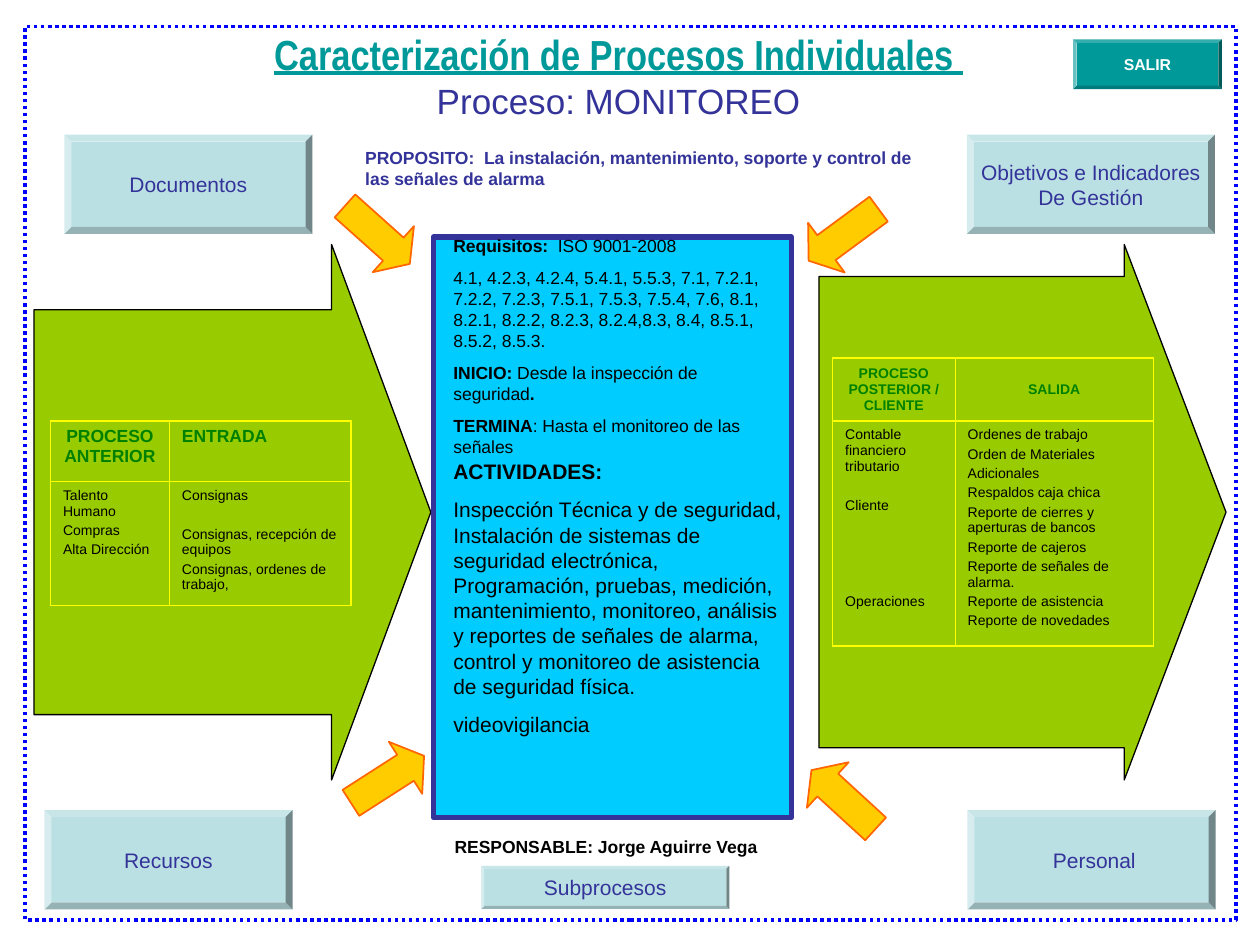
from lxml.etree import SubElement
from pptx import Presentation
from pptx.dml.color import RGBColor
from pptx.enum.dml import MSO_LINE
from pptx.enum.shapes import MSO_SHAPE
from pptx.enum.text import MSO_ANCHOR, PP_ALIGN
from pptx.oxml.ns import qn
from pptx.util import Pt

GREEN, DARK_GREEN = RGBColor(0x99, 0xCC, 0x00), RGBColor(0x00, 0x80, 0x00)
TEAL, PALE = RGBColor(0x00, 0x99, 0x99), RGBColor(0xBB, 0xE0, 0xE3)
NAVY, BLUE = RGBColor(0x33, 0x33, 0x99), RGBColor(0x00, 0x00, 0xFF)
CYAN, YELLOW = RGBColor(0x00, 0xCC, 0xFF), RGBColor(0xFF, 0xFF, 0x00)
GOLD, ORANGE = RGBColor(0xFF, 0xCC, 0x00), RGBColor(0xFF, 0x66, 0x00)
BLACK, WHITE = RGBColor(0, 0, 0), RGBColor(0xFF, 0xFF, 0xFF)

# A paragraph is a string or a list of (text, format changes); "\n" breaks the line.
BOLD = dict(bold=True)
TITLE = [[("Caracterización de Procesos Individuales ",
           dict(size=24, font="Arial Narrow", color=TEAL, bold=True, underline=True)),
          ("\n", {}), ("Proceso: MONITOREO", {})]]
PURPOSE = ["PROPOSITO:  La instalación, mantenimiento, soporte y control de las señales de alarma"]
REQUIREMENTS = [
    [("Requisitos:  ", BOLD), ("ISO 9001-2008", {})],
    "4.1, 4.2.3, 4.2.4, 5.4.1, 5.5.3, 7.1, 7.2.1, 7.2.2, 7.2.3, 7.5.1, 7.5.3, 7.5.4, "
    "7.6, 8.1, 8.2.1, 8.2.2, 8.2.3, 8.2.4,8.3, 8.4, 8.5.1, 8.5.2, 8.5.3.",
    [("INICIO: ", BOLD), ("Desde la inspección de seguridad", {}), (".", BOLD)],
    [("TERMINA", BOLD), (": Hasta el monitoreo de las señales", {})],
]
ACTIVITIES = [
    [("ACTIVIDADES:", BOLD)],
    "Inspección Técnica y de seguridad, Instalación de sistemas de seguridad electrónica, "
    "Programación, pruebas, medición, mantenimiento, monitoreo, análisis y reportes de "
    "señales de alarma, control y monitoreo de asistencia de seguridad física.",
    "videovigilancia",
]
RESPONSIBLE = ["RESPONSABLE: Jorge Aguirre Vega"]

# Big arrows: left, top, width, height, shaft share
FLOW_ARROWS = [(468, 139.7, 232.6, 306, 0.88), (19.4, 139.7, 226.8, 306, 0.756)]
# Small arrows: left, top, rotation
SMALL_ARROWS = [(196.6, 427.7, 327.3), (190.8, 116.6, 41.8),
                (457.2, 439.2, 222.5), (457.2, 116.6, 143.6)]
# Buttons: lines, left, top, width, height, bevel share
BUTTONS = [
    (["Recursos"], 25.4, 463, 141.8, 56.7, 0.07),
    ([" Personal"], 552.8, 463, 141.8, 56.7, 0.07),
    (["Documentos"], 36.8, 77, 141.8, 56.7, 0.07),
    (["Objetivos e Indicadores", "De Gestión"], 552.5, 77, 141.8, 56.7, 0.07),
    (["Subprocesos"], 275, 494.8, 141.8, 24.6, 0.07),
]
EXIT = (["SALIR"], 613.2, 22.5, 85, 28.4, 0.07)

# Tables: body items are (text, lines left open above it)
ENTRY = dict(
    left=28.8, top=240.5, cols=[68, 104], rows=[34.6, 70.6], rules=[1.08, 0.45, 0.45],
    fill=GREEN, size=10, aligns=[PP_ALIGN.CENTER, PP_ALIGN.LEFT], anchor=MSO_ANCHOR.TOP,
    heads=["PROCESO ANTERIOR", "ENTRADA"],
    body=[[("Talento Humano", 0), ("Compras", 0), ("Alta Dirección", 0)],
          [("Consignas", 0), ("Consignas, recepción de equipos", 1),
           ("Consignas, ordenes de trabajo,", 0)]])
OUTPUT = dict(
    left=475.8, top=204.5, cols=[70, 113.4], rows=[36, 128.2], rules=[1.08, 1.08, 1.08],
    fill=None, size=8, aligns=[PP_ALIGN.CENTER] * 2, anchor=MSO_ANCHOR.MIDDLE,
    heads=["PROCESO POSTERIOR / CLIENTE", "SALIDA"],
    body=[[("Contable financiero tributario", 0), ("Cliente", 1), ("Operaciones", 4)],
          [(t, 0) for t in (
              "Ordenes de trabajo", "Orden de Materiales", "Adicionales",
              "Respaldos caja chica", "Reporte de cierres y aperturas de bancos",
              "Reporte de cajeros", "Reporte de señales de alarma.",
              "Reporte de asistencia", "Reporte de novedades")]])
OPEN_LINE = 11


def put(tf, paragraphs, align=PP_ALIGN.LEFT, before=0, spacing=None, **fmt):
    """Write paragraphs; before is one space above, or one per paragraph."""
    gaps = before if isinstance(before, list) else [before] * len(paragraphs)
    for i, (runs, gap) in enumerate(zip(paragraphs, gaps)):
        p = tf.paragraphs[0] if i == 0 else tf.add_paragraph()
        p.alignment, p.space_before = align, Pt(gap)
        if spacing:
            p.line_spacing = spacing
        for text, changes in [(runs, {})] if isinstance(runs, str) else runs:
            if text == "\n":
                p.add_line_break()
                continue
            f = dict(size=10, font="Arial", color=BLACK, bold=False, underline=False)
            f.update(fmt)
            f.update(changes)
            r = p.add_run()
            r.text = text
            r.font.size, r.font.name = Pt(f["size"]), f["font"]
            r.font.bold, r.font.underline = f["bold"], f["underline"]
            r.font.color.rgb = f["color"]


def add_box(kind, x, y, w, h, fill=None, line=None, weight=1, adj=(), rotation=0):
    sp = s.shapes.add_shape(kind, Pt(x), Pt(y), Pt(w), Pt(h))
    sp.shadow.inherit = False
    sp.rotation = rotation
    for i, value in enumerate(adj):
        sp.adjustments[i] = value
    for part, color in ((sp.fill, fill), (sp.line.fill, line)):
        if color is None:
            part.background()
        else:
            part.solid()
            part.fore_color.rgb = color
    if line is not None:
        sp.line.width = Pt(weight)
    return sp


def add_text(x, y, w, h, paragraphs, anchor=MSO_ANCHOR.TOP, **fmt):
    tf = s.shapes.add_textbox(Pt(x), Pt(y), Pt(w), Pt(h)).text_frame
    tf.word_wrap, tf.vertical_anchor = True, anchor
    put(tf, paragraphs, **fmt)


def add_button(lines, x, y, w, h, bevel, fill=PALE, **fmt):
    sp = add_box(MSO_SHAPE.BEVEL, x, y, w, h, fill, adj=[bevel])
    sp.text_frame.word_wrap = False
    sp.text_frame.vertical_anchor = MSO_ANCHOR.MIDDLE
    put(sp.text_frame, lines, align=PP_ALIGN.CENTER, **fmt)


def set_borders(cell, **widths):
    """Draw yellow borders; schema order puts them ahead of the fill."""
    tc_pr = cell._tc.get_or_add_tcPr()
    for i, side in enumerate("LRTB"):
        ln = SubElement(tc_pr, qn("a:ln" + side), w=str(int(Pt(widths[side]))))
        SubElement(SubElement(ln, qn("a:solidFill")), qn("a:srgbClr"), val=str(YELLOW))
        tc_pr.insert(i, ln)


def add_process_table(t):
    table = s.shapes.add_table(2, 2, Pt(t["left"]), Pt(t["top"]),
                               Pt(sum(t["cols"])), Pt(sum(t["rows"]))).table
    table.first_row = table.horz_banding = False
    for i in range(2):
        table.columns[i].width, table.rows[i].height = Pt(t["cols"][i]), Pt(t["rows"][i])
    for c in range(2):
        head, body = table.cell(0, c), table.cell(1, c)
        head.vertical_anchor = t["anchor"]
        put(head.text_frame, [t["heads"][c]], align=t["aligns"][c], before=t["size"] / 4,
            size=t["size"], color=DARK_GREEN, bold=True)
        put(body.text_frame, [text for text, _ in t["body"][c]], size=8,
            before=[2 + OPEN_LINE * n for _, n in t["body"][c]])
        for r, cell in enumerate((head, body)):
            if t["fill"] is None:
                cell.fill.background()
            else:
                cell.fill.solid()
                cell.fill.fore_color.rgb = t["fill"]
            set_borders(cell, L=(1.08, 0.45)[c], R=(0.45, 1.08)[c],
                        T=t["rules"][r], B=t["rules"][r + 1])


prs = Presentation()
prs.slide_width, prs.slide_height = Pt(720), Pt(540)
s = prs.slides.add_slide(prs.slide_layouts[6])

for x, y, w, h, shaft in FLOW_ARROWS:
    add_box(MSO_SHAPE.RIGHT_ARROW, x, y, w, h, GREEN, BLACK, 0.75, [shaft, 0.25])
add_text(93.6, 25.9, 519.8, 46.8, TITLE, anchor=MSO_ANCHOR.BOTTOM,
         align=PP_ALIGN.CENTER, size=20, color=NAVY)
add_box(MSO_SHAPE.RECTANGLE, 247.7, 135.4, 204.5, 331.9, CYAN, NAVY, 3)
frame = add_box(MSO_SHAPE.RECTANGLE, 14.4, 15.1, 691.9, 510.5, line=BLUE, weight=2)
frame.line.dash_style = MSO_LINE.ROUND_DOT
for x, y, angle in SMALL_ARROWS:
    add_box(MSO_SHAPE.RIGHT_ARROW, x, y, 49.7, 35.3, GOLD, ORANGE, 1, [0.5, 0.357], angle)
for t in (ENTRY, OUTPUT):
    add_process_table(t)
add_text(252.7, 476.6, 198.7, 17.3, RESPONSIBLE, before=5, spacing=0.8, bold=True)
add_text(252, 258.5, 204.5, 166.3, ACTIVITIES, before=7.5, size=12)
add_text(252, 131, 198.7, 152.6, REQUIREMENTS, before=6.2)
add_text(201.6, 80.6, 339.8, 31.7, PURPOSE, before=6.2, color=NAVY, bold=True)
for button in BUTTONS:
    add_button(*button, size=12, color=NAVY)
add_button(*EXIT, fill=TEAL, size=9, color=WHITE, bold=True)

prs.save("out.pptx")
